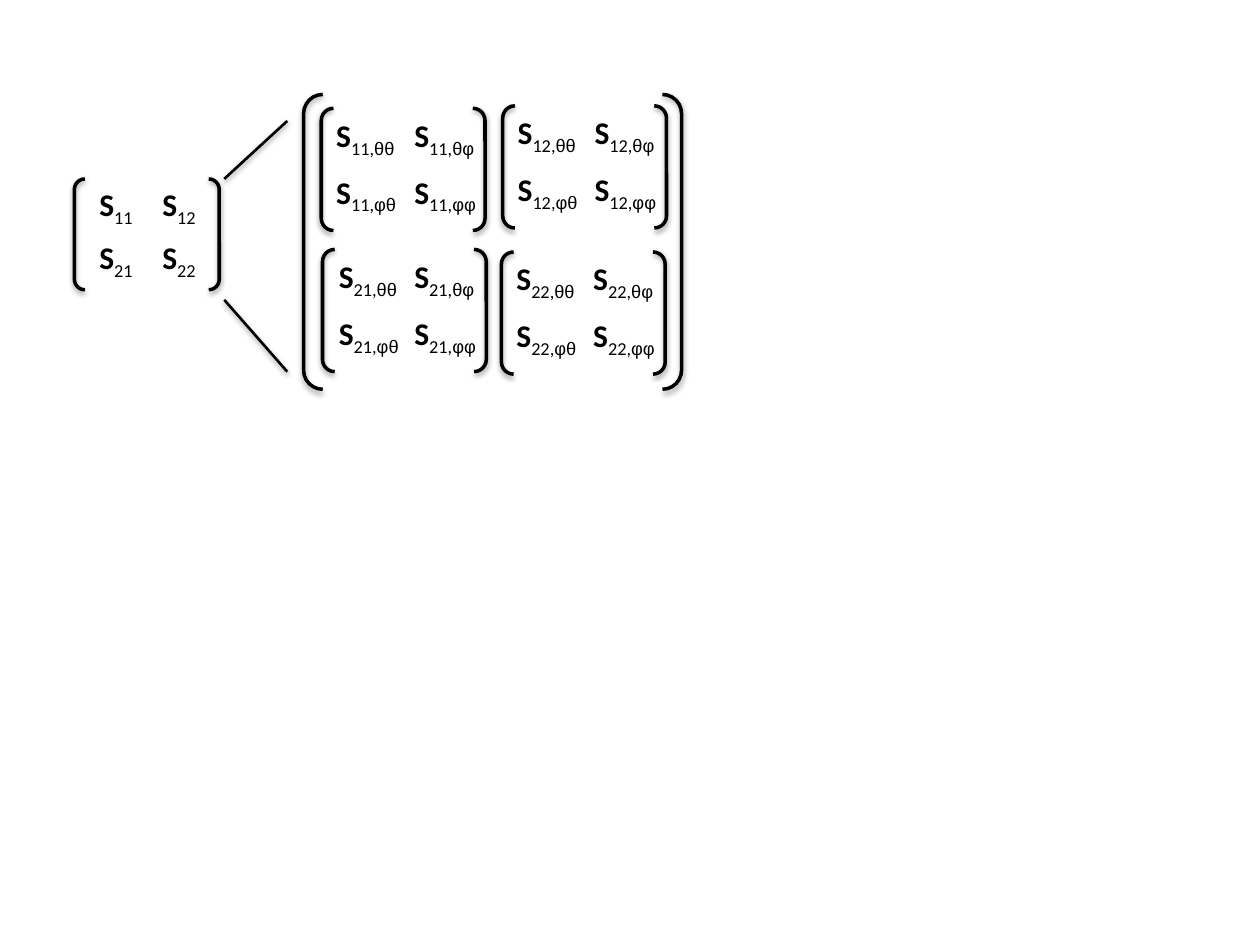
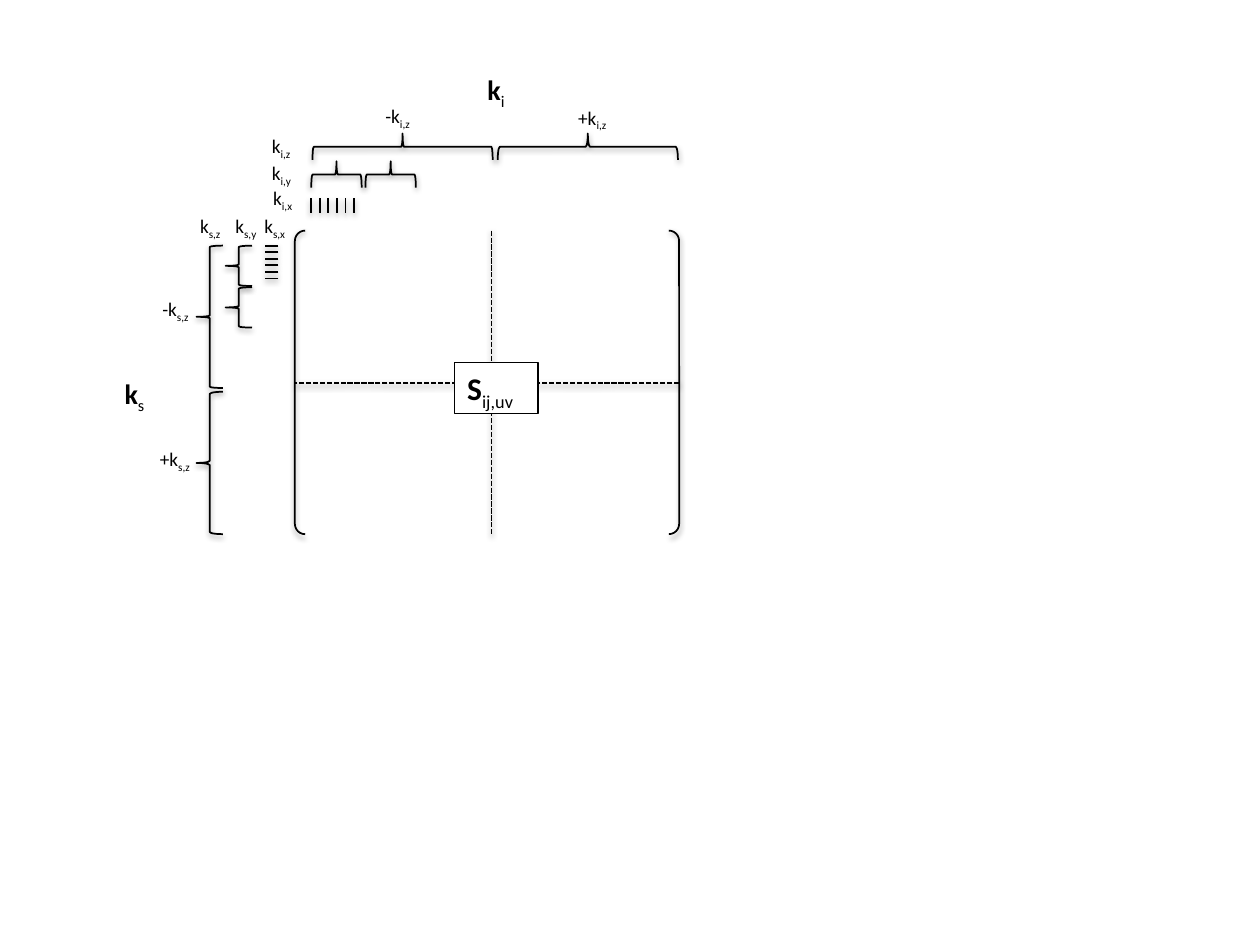
import pptx
import pptx.dml.color
import pptx.enum.dml
import pptx.enum.shapes
import pptx.enum.text
import pptx.oxml
import pptx.util

Inches = pptx.util.Inches
Pt = pptx.util.Pt
SHAPES = pptx.enum.shapes.MSO_SHAPE
BLACK = "000000"
WHITE = "FFFFFF"
LATIN_FONT = "Calibri"
GREEK_FONT = "Arial"
SHADOW = (
    '<a:effectLst xmlns:a="http://schemas.openxmlformats.org/drawingml/2006/main">'
    '<a:outerShdw blurRad="40000" dist="20000" dir="5400000" rotWithShape="0">'
    '<a:srgbClr val="000000"><a:alpha val="38000"/></a:srgbClr>'
    "</a:outerShdw></a:effectLst>"
)


def colour(value):
    return pptx.dml.color.RGBColor.from_string(value)


def style_line(shape, width):
    shape.line.color.rgb = colour(BLACK)
    shape.line.width = Pt(width)


def add_shadow(shape):
    shape._element.spPr.append(pptx.oxml.parse_xml(SHADOW))


def add_outline(slide, kind, left, top, width, height, line_width, adjustment):
    shape = slide.shapes.add_shape(
        kind, Inches(left), Inches(top), Inches(width), Inches(height)
    )
    shape.adjustments[0] = adjustment
    shape.fill.background()
    style_line(shape, line_width)
    add_shadow(shape)
    return shape


def add_brackets(slide, left, top, width, height, line_width, adjustment):
    add_outline(slide, SHAPES.DOUBLE_BRACKET, left, top, width, height,
                line_width, adjustment)


def add_side_brace(slide, left, top, length, adjustment=0.05):
    add_outline(slide, SHAPES.LEFT_BRACE, left, top, 0.21, length, 1, adjustment)


def add_top_brace(slide, left, top, length, adjustment=0.05):
    brace = add_outline(slide, SHAPES.LEFT_BRACE, left + (length - 0.21) / 2,
                        top - (length - 0.21) / 2, 0.21, length, 1, adjustment)
    brace.rotation = 90


def add_line(slide, start, end, width=1, dashed=False):
    connector = slide.shapes.add_connector(
        pptx.enum.shapes.MSO_CONNECTOR.STRAIGHT,
        *(Inches(value) for value in (*start, *end))
    )
    style_line(connector, width)
    if dashed:
        connector.line.dash_style = pptx.enum.dml.MSO_LINE.SQUARE_DOT
    add_shadow(connector)


def write_symbol(shape, base, subscript, size, bold, greek=""):
    frame = shape.text_frame
    frame.word_wrap = True
    frame.auto_size = pptx.enum.text.MSO_AUTO_SIZE.SHAPE_TO_FIT_TEXT
    paragraph = frame.paragraphs[0]
    paragraph.alignment = pptx.enum.text.PP_ALIGN.LEFT
    for text in filter(None, (base, subscript, greek)):
        run = paragraph.add_run()
        run.text = text
        run.font.size = Pt(size)
        run.font.name = GREEK_FONT if text == greek else LATIN_FONT
        run.font.color.rgb = colour(BLACK)
        run.font.bold = bold and text == base
        if text != base:
            run.font._element.set("baseline", "-25000")


def add_symbol(slide, left, top, base, subscript, width=0.9, height=0.29,
               size=11, bold=False, greek=""):
    box = slide.shapes.add_textbox(
        Inches(left), Inches(top), Inches(width), Inches(height)
    )
    write_symbol(box, base, subscript, size, bold, greek)


def add_port_matrix(slide):
    add_brackets(slide, 0.59, 1.42, 1.15, 0.88, 2, 0.095)
    for row in range(2):
        for column in range(2):
            add_symbol(slide, 0.69 + 0.5 * column, 1.42 + 0.42 * row,
                       "S", f"{row + 1}{column + 1}", 0.67, 0.4, 18, True)


def add_polarisation_block(slide, ports, left, top, column_lefts):
    add_brackets(slide, left, top, 1.3, 0.97, 2, 0.1)
    for row, scattered in enumerate("θφ"):
        for column, incident in enumerate("θφ"):
            width = 0.98 if row == column == 0 else 0.72
            add_symbol(slide, column_lefts[column], top + 0.01 + 0.45 * row,
                       "S", ports + ",", width, 0.38, 18, True,
                       scattered + incident)


def build_expansion_slide(slide):
    add_port_matrix(slide)
    for ports, left, top, column_lefts in (
        ("11", 2.55, 0.86, (2.57, 3.19)),
        ("21", 2.56, 1.98, (2.59, 3.19)),
        ("12", 3.99, 0.84, (4.01, 4.62)),
        ("22", 3.98, 2.0, (4.0, 4.61)),
    ):
        add_polarisation_block(slide, ports, left, top, column_lefts)
    add_line(slide, (1.78, 1.42), (2.28, 0.96), 1.5)
    add_line(slide, (1.78, 2.38), (2.28, 2.95), 1.5)
    add_brackets(slide, 2.41, 0.75, 3, 2.34, 2, 0.065)


def add_scattering_matrix(slide):
    add_brackets(slide, 2.34, 1.83, 3.05, 2.41, 1, 0.034)
    add_line(slide, (3.9, 1.83), (3.9, 4.24), dashed=True)
    add_line(slide, (5.39, 3.04), (2.34, 3.04), dashed=True)
    label = slide.shapes.add_shape(
        SHAPES.RECTANGLE, Inches(3.61), Inches(2.88), Inches(0.66), Inches(0.4)
    )
    label.shadow.inherit = False
    label.fill.solid()
    label.fill.fore_color.rgb = colour(WHITE)
    style_line(label, 0.75)
    label.text_frame.vertical_anchor = pptx.enum.text.MSO_ANCHOR.TOP
    write_symbol(label, "S", "ij,uv", 18, True)


def add_incident_axis(slide):
    add_top_brace(slide, 2.48, 1.06, 1.43)
    add_top_brace(slide, 3.95, 1.06, 1.43, 0.08)
    for left in (2.47, 2.9):
        add_top_brace(slide, left, 1.28, 0.4)
    for index in range(6):
        left = 2.47 + 0.34 * index / 5
        add_line(slide, (left, 1.69), (left, 1.57))


def add_scattered_axis(slide):
    add_side_brace(slide, 1.56, 1.95, 1.13)
    add_side_brace(slide, 1.56, 3.11, 1.13, 0.08)
    for top in (1.95, 2.28):
        add_side_brace(slide, 1.79, top, 0.32)
    for index in range(6):
        top = 1.95 + 0.26 * index / 5
        add_line(slide, (2.21, top), (2.1, top))


def build_wavevector_slide(slide):
    add_scattering_matrix(slide)
    add_incident_axis(slide)
    add_scattered_axis(slide)
    for left, top, base, subscript in (
        (2.96, 0.78, "-k", "i,z"),
        (4.49, 0.79, "+k", "i,z"),
        (2.06, 1.02, "k", "i,z"),
        (2.06, 1.23, "k", "i,y"),
        (2.07, 1.43, "k", "i,x"),
        (1.19, 2.31, "-k", "s,z"),
        (1.17, 3.5, "+k", "s,z"),
        (1.49, 1.65, "k", "s,z"),
        (1.77, 1.65, "k", "s,y"),
        (2.0, 1.65, "k", "s,x"),
    ):
        add_symbol(slide, left, top, base, subscript)
    for left, top, subscript in ((3.77, 0.53, "i"), (0.89, 2.94, "s")):
        add_symbol(slide, left, top, "k", subscript, height=0.37, size=16, bold=True)


def main():
    presentation = pptx.Presentation()
    presentation.slide_width = Inches(10)
    presentation.slide_height = Inches(7.5)
    blank_layout = presentation.slide_layouts[6]
    for build_slide in (build_expansion_slide, build_wavevector_slide):
        build_slide(presentation.slides.add_slide(blank_layout))
    presentation.save("out.pptx")


if __name__ == "__main__":
    main()
